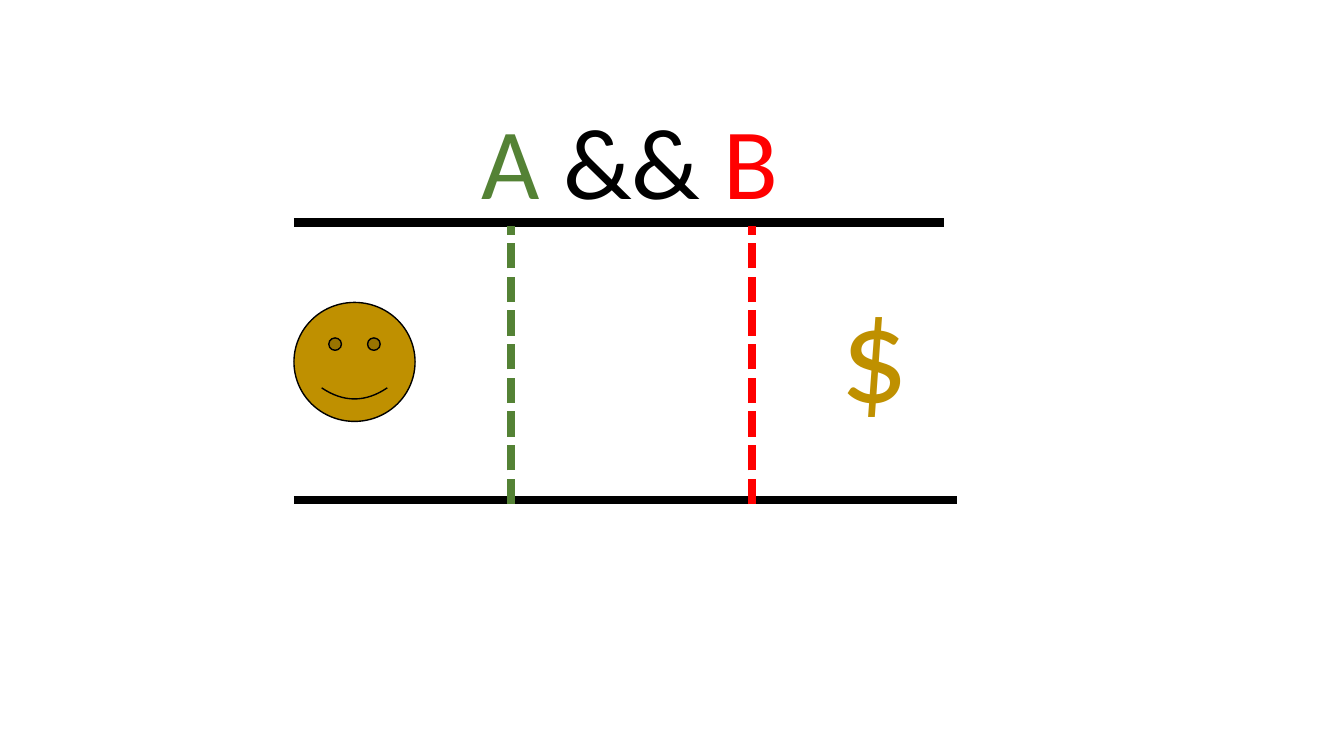
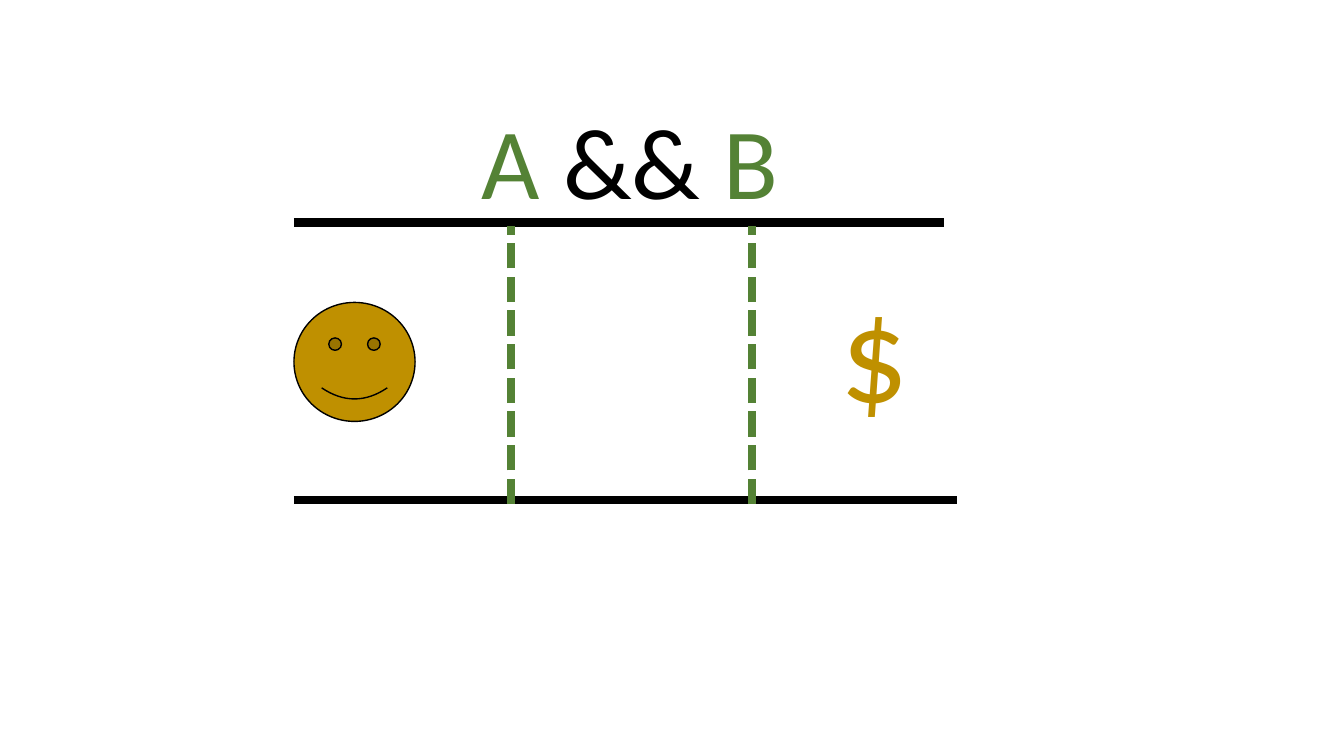
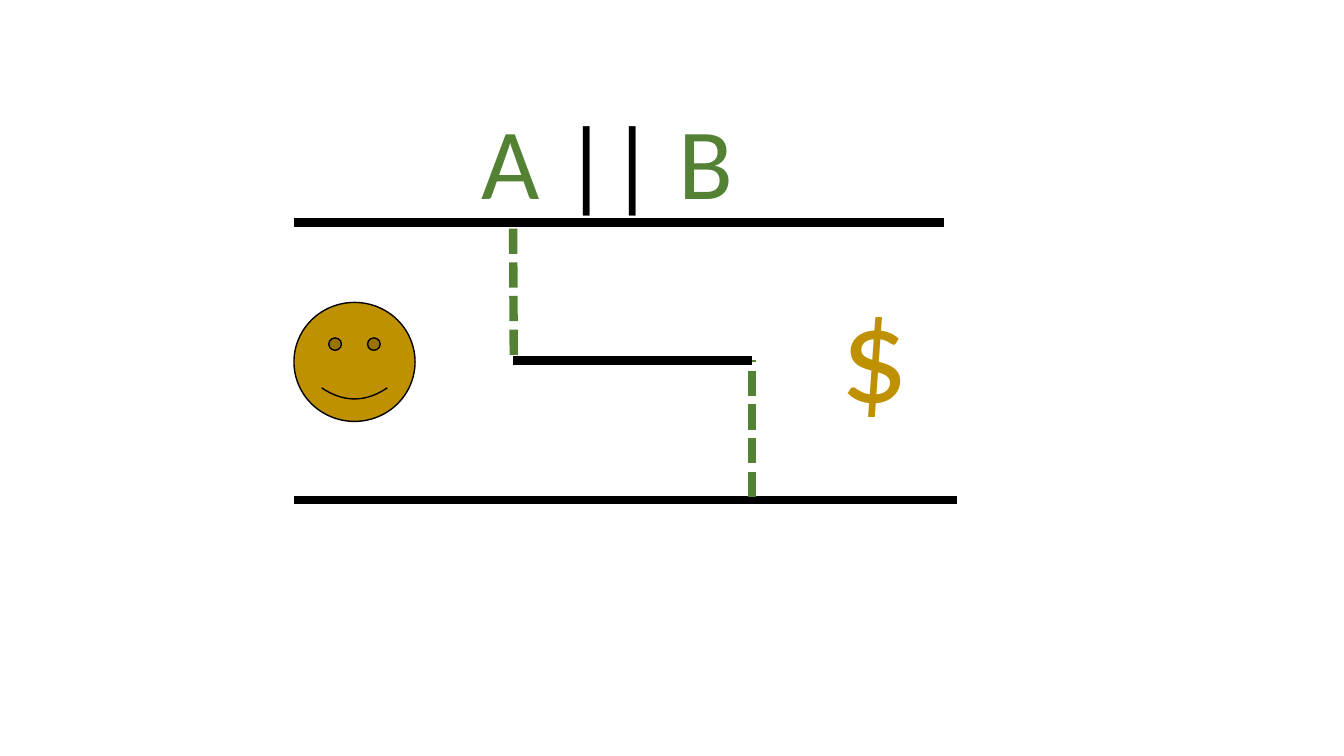
from lxml.etree import SubElement
from pptx import Presentation
from pptx.dml.color import RGBColor
from pptx.enum.dml import MSO_LINE
from pptx.enum.shapes import MSO_CONNECTOR, MSO_SHAPE
from pptx.enum.text import MSO_ANCHOR, MSO_AUTO_SIZE, PP_ALIGN
from pptx.oxml.ns import qn
from pptx.util import Pt

# Shared style
BLACK = RGBColor(0x00, 0x00, 0x00)
GREEN = RGBColor(0x54, 0x82, 0x35)
RED = RGBColor(0xFF, 0x00, 0x00)
GOLD = RGBColor(0xBF, 0x90, 0x00)
FONT = "Calibri"
TITLE_ONLY = 5

# Shared places, in points
LEFT = 210
ROOF, FLOOR = 159, 357
GATE_A, GATE_B = 365, 537
GATE_TOP, GATE_END = 161.5, 360
STEP = 257.5


def add_line(slide, start, end, color=BLACK, dashed=False):
    line = slide.shapes.add_connector(
        MSO_CONNECTOR.STRAIGHT, *map(Pt, start + end))
    line.line.color.rgb = color
    line.line.width = Pt(6)
    if dashed:
        line.line.dash_style = MSO_LINE.SQUARE_DOT
    SubElement(line._element.spPr, qn("a:effectLst"))


def set_text(frame, parts, size):
    """Write one line made of (text, colour) parts."""
    frame.word_wrap = False
    frame.auto_size = MSO_AUTO_SIZE.SHAPE_TO_FIT_TEXT
    frame.vertical_anchor = MSO_ANCHOR.TOP
    line = frame.paragraphs[0]
    line.alignment = PP_ALIGN.LEFT
    for text, color in parts:
        run = line.add_run()
        run.text = text
        run.font.name = FONT
        run.font.size = Pt(size)
        run.font.color.rgb = color


def add_title(slide, parts, width):
    title = slide.shapes.title
    title.left, title.top = Pt(337), Pt(67)
    title.width, title.height = Pt(width), Pt(94)
    set_text(title.text_frame, parts, 72)


def add_face(slide):
    face = slide.shapes.add_shape(
        MSO_SHAPE.SMILEY_FACE, Pt(LEFT), Pt(216), Pt(86.5), Pt(85))
    face.shadow.inherit = False
    face.fill.solid()
    face.fill.fore_color.rgb = GOLD
    face.line.color.rgb = BLACK
    face.line.width = Pt(1)


def add_prize(slide):
    box = slide.shapes.add_textbox(Pt(593.5), Pt(188), Pt(63.5), Pt(124))
    set_text(box.text_frame, [("$", GOLD)], 96)


def add_scene(deck, parts, width):
    """Start a slide: title, corridor walls, face and prize."""
    slide = deck.slides.add_slide(deck.slide_layouts[TITLE_ONLY])
    add_title(slide, parts, width)
    add_line(slide, (LEFT, ROOF), (674.5, ROOF))
    add_line(slide, (LEFT, FLOOR), (683.5, FLOOR))
    add_face(slide)
    add_prize(slide)
    return slide


def add_and(deck, color):
    """Two gates in a row; color marks the state of gate B."""
    parts = [("A ", GREEN), ("&& ", BLACK), ("B", color)]
    slide = add_scene(deck, parts, 228)
    for left, tone in ((GATE_A, GREEN), (GATE_B, color)):
        add_line(slide, (left, GATE_END), (left, GATE_TOP), tone, True)


def add_or(deck):
    """Two gates side by side, split by a middle wall."""
    parts = [("A ", GREEN), ("|| ", BLACK), ("B", GREEN)]
    slide = add_scene(deck, parts, 196)
    add_line(slide, (367, 253.5), (366.5, GATE_TOP), GREEN, True)
    add_line(slide, (GATE_B, 355), (GATE_B, 257), GREEN, True)
    add_line(slide, (366.5, STEP), (GATE_B, STEP))


def main():
    deck = Presentation()
    deck.slide_width, deck.slide_height = Pt(960), Pt(540)
    add_and(deck, RED)
    add_and(deck, GREEN)
    add_or(deck)
    deck.save("out.pptx")


if __name__ == "__main__":
    main()
